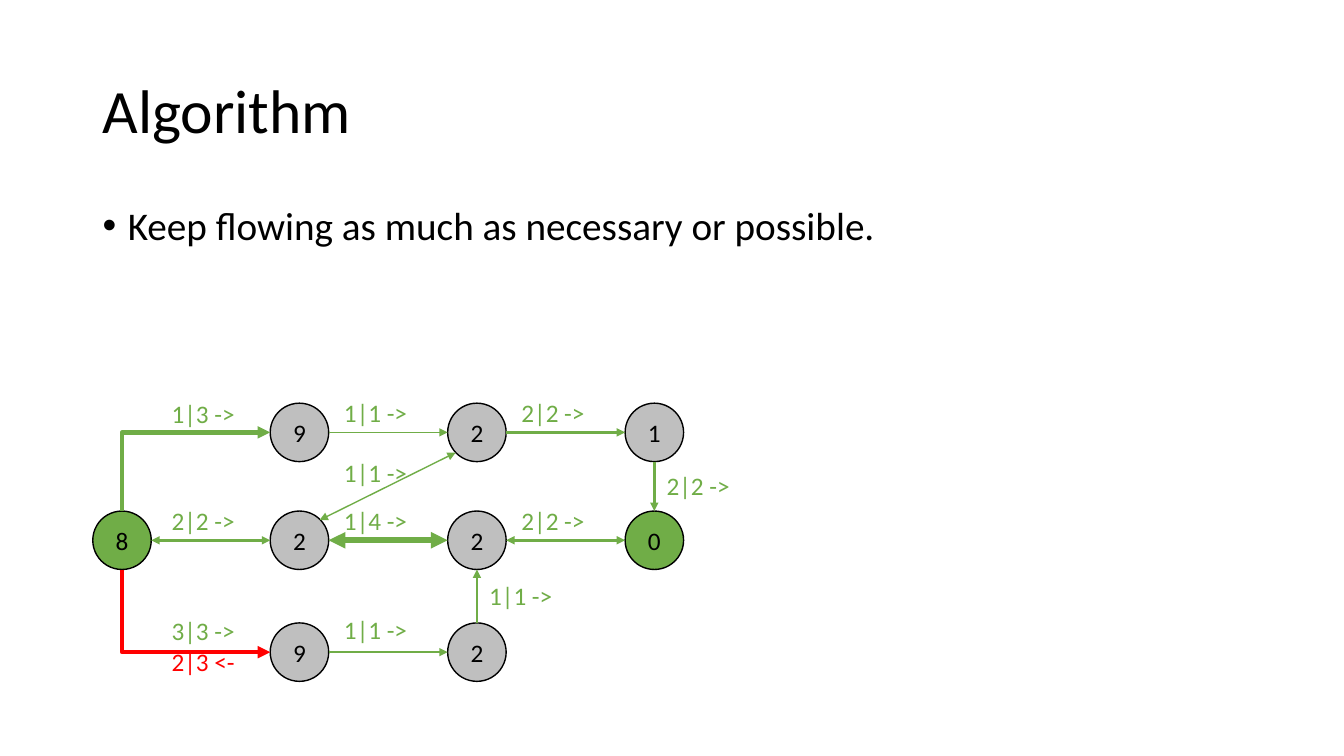
from lxml.etree import SubElement
from pptx import Presentation
from pptx.dml.color import RGBColor
from pptx.enum.shapes import MSO_CONNECTOR as Link, MSO_SHAPE as Shape
from pptx.enum.text import MSO_ANCHOR as Anchor, PP_ALIGN as Align
from pptx.oxml.ns import qn
from pptx.util import Emu, Pt

COLORS = {"black": "000000", "green": "70AD47", "gray": "BFBFBF", "red": "FF0000"}
SCALE = 9144
NODE = 58
COLUMNS = [92 + 176 * index for index in range(4)]
ROWS = [400, 507, 618]


def px(value):
    return Emu(int(value * SCALE))


def color(name):
    return RGBColor.from_string(COLORS[name])


class FlowSlide:
    font = "Calibri"
    label_size = 18

    def __init__(self, deck):
        self.shapes = deck.slides.add_slide(deck.slide_layouts[6]).shapes

    def add_span(self, para, text, size, ink):
        span = para.add_run()
        span.text = text
        span.font.name = self.font
        span.font.size = Pt(size)
        span.font.color.rgb = color(ink)

    def heading(self, text, top, height, size, anchor, bullet=False):
        box = self.shapes.add_textbox(px(92), px(top), px(1150), px(height))
        frame = box.text_frame
        frame.word_wrap = True
        frame.vertical_anchor = anchor
        para = frame.paragraphs[0]
        para.line_spacing = 0.9
        if bullet:
            para.space_before = Pt(10)
            props = para._p.get_or_add_pPr()
            props.set("marL", str(px(25)))
            props.set("indent", str(px(-25)))
            SubElement(props, qn("a:buFont"), typeface="Arial")
            SubElement(props, qn("a:buChar"), char="•")
        self.add_span(para, text, size, "black")

    def node(self, column, row, text, fill):
        oval = self.shapes.add_shape(
            Shape.OVAL, px(COLUMNS[column]), px(ROWS[row]), px(NODE), px(NODE))
        oval.shadow.inherit = False
        oval.fill.solid()
        oval.fill.fore_color.rgb = color(fill)
        oval.line.color.rgb = color("black")
        oval.line.width = Pt(1)
        oval.text_frame.vertical_anchor = Anchor.MIDDLE
        para = oval.text_frame.paragraphs[0]
        para.alignment = Align.CENTER
        self.add_span(para, text, self.label_size, "black")

    def arrow(self, start, end, weight, both=False, ink="green", kind=Link.STRAIGHT):
        line = self.shapes.add_connector(kind, *map(px, start + end))
        line.line.color.rgb = color(ink)
        line.line.width = Pt(weight)
        stroke = line.line._get_or_add_ln()
        if both:
            SubElement(stroke, qn("a:headEnd"), type="triangle")
        SubElement(stroke, qn("a:tailEnd"), type="triangle")
        SubElement(line._element.spPr, qn("a:effectLst"))
        return line

    def corner(self, start, end, ink, turn):
        width, height = abs(end[1] - start[1]), end[0] - start[0]
        left = (start[0] + end[0] - width) / 2
        top = (start[1] + end[1] - height) / 2
        line = self.arrow((left, top), (left + width, top + height), 3,
                          ink=ink, kind=Link.ELBOW)
        props = line._element.spPr
        props.find(qn("a:prstGeom")).set("prst", "bentConnector2")
        for name, value in turn.items():
            props.find(qn("a:xfrm")).set(name, value)

    def label(self, left, top, *lines):
        box = self.shapes.add_textbox(px(left), px(top), px(87), px(9 + 31 * len(lines)))
        frame = box.text_frame
        frame.word_wrap = False
        for index, (text, ink) in enumerate(lines):
            para = frame.add_paragraph() if index else frame.paragraphs[0]
            para.alignment = Align.CENTER
            self.add_span(para, text, self.label_size, ink)


def main():
    deck = Presentation()
    deck.slide_width, deck.slide_height = px(1333), px(750)
    page = FlowSlide(deck)
    page.heading("Algorithm", 40, 145, 44, Anchor.MIDDLE)
    page.heading("Keep flowing as much as necessary or possible.", 200, 476, 28,
                 Anchor.TOP, bullet=True)

    nodes = [
        (0, 1, "8", "green"), (1, 0, "9", "gray"), (1, 1, "2", "gray"),
        (1, 2, "9", "gray"), (2, 0, "2", "gray"), (2, 1, "2", "gray"),
        (2, 2, "2", "gray"), (3, 0, "1", "gray"), (3, 1, "0", "green"),
    ]
    for node in nodes:
        page.node(*node)

    half = NODE // 2
    source = COLUMNS[0] + half
    page.corner((source, ROWS[1]), (COLUMNS[1], ROWS[0] + half), "green",
                {"rot": "5400000", "flipH": "1", "flipV": "1"})
    page.corner((source, ROWS[1] + NODE), (COLUMNS[1], ROWS[2] + half), "red",
                {"rot": "16200000", "flipH": "1"})

    across = [(0, 1, 2, True), (1, 0, 1, False), (1, 1, 4, True),
              (1, 2, 1, False), (2, 0, 2, False), (2, 1, 2, True)]
    for column, row, weight, both in across:
        level = ROWS[row] + half
        page.arrow((COLUMNS[column] + NODE, level), (COLUMNS[column + 1], level),
                   weight, both)
    page.arrow((COLUMNS[2] + half, ROWS[2]), (COLUMNS[2] + half, ROWS[1] + NODE), 1)
    page.arrow((COLUMNS[3] + half, ROWS[0] + NODE), (COLUMNS[3] + half, ROWS[1]), 2)
    page.arrow((317, 516), (452, 449), 1, both=True)

    labels = [
        (158, 390, "1|3 ->"), (158, 496, "2|2 ->"), (329, 389, "1|1 ->"),
        (329, 449, "1|1 ->"), (329, 496, "1|4 ->"), (329, 605, "1|1 ->"),
        (505, 389, "2|2 ->"), (505, 496, "2|2 ->"), (649, 462, "2|2 ->"),
        (473, 571, "1|1 ->"),
    ]
    for left, top, text in labels:
        page.label(left, top, (text, "green"))
    page.label(158, 606, ("3|3 ->", "green"), ("2|3 <-", "red"))
    deck.save("out.pptx")


if __name__ == "__main__":
    main()
